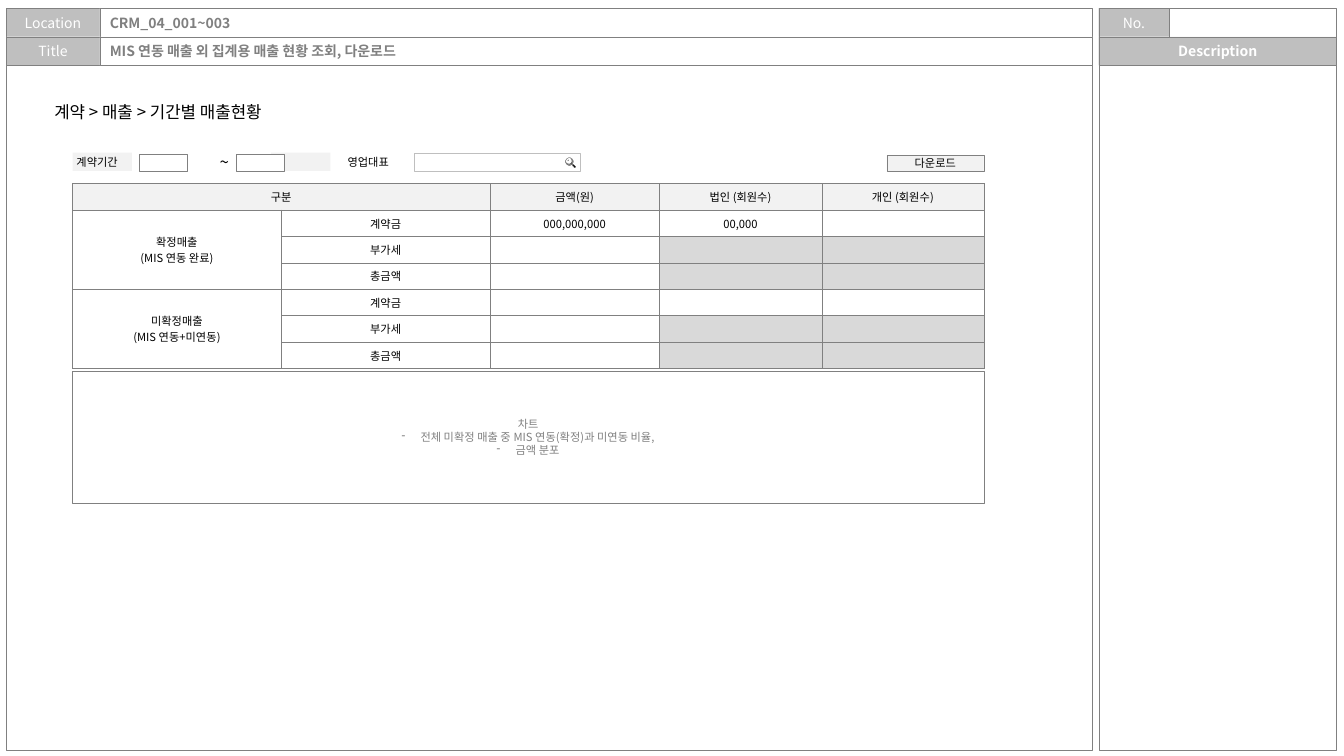
import pptx
import pptx.dml.color
import pptx.enum.shapes
import pptx.enum.text
import pptx.oxml.ns
import pptx.util
from lxml import etree

RGBColor = pptx.dml.color.RGBColor
ALIGN = pptx.enum.text.PP_ALIGN
MIDDLE = pptx.enum.text.MSO_ANCHOR.MIDDLE
RECTANGLE = pptx.enum.shapes.MSO_SHAPE.RECTANGLE
qn = pptx.oxml.ns.qn

WHITE = RGBColor(0xFF, 0xFF, 0xFF)
BLACK = RGBColor(0x00, 0x00, 0x00)
GREY = RGBColor(0x80, 0x80, 0x80)
LABEL = RGBColor(0xBF, 0xBF, 0xBF)
BLOCKED = RGBColor(0xD9, 0xD9, 0xD9)
PALE = RGBColor(0xF2, 0xF2, 0xF2)

SMALL = {"size": pptx.util.Pt(8), "bold": False, "color": BLACK}
MUTED = {**SMALL, "color": GREY}
CRUMB = {**SMALL, "size": pptx.util.Pt(12)}
HEADER = {"size": pptx.util.Pt(10), "bold": False, "color": WHITE}
HEADER_BOLD = {**HEADER, "bold": True}
VALUE = {**HEADER_BOLD, "color": GREY}


class Wireframe:
    typeface = "Noto Sans CJK KR"
    hairline = pptx.util.Pt(0.25)

    def __init__(self, deck):
        self.width = deck.slide_width
        self.height = deck.slide_height
        self.page = deck.slides.add_slide(deck.slide_layouts[6])

    def across(self, share):
        return round(self.width * share / 100)

    def down(self, share):
        return round(self.height * share / 100)

    def area(self, left, top, width, height):
        return self.across(left), self.down(top), self.across(width), self.down(height)

    def add_text(self, frame, text, style, align, bullets=False):
        for index, line in enumerate(text.split("\n")):
            para = frame.paragraphs[0] if index == 0 else frame.add_paragraph()
            para.alignment = align
            if bullets and index > 0:
                props = para._p.get_or_add_pPr()
                props.set("marL", "171450")
                props.set("indent", "-171450")
                etree.SubElement(props, qn("a:buChar"), char="-")
            if not line:
                etree.SubElement(para._p, qn("a:endParaRPr"), sz=str(int(style["size"].pt * 100)))
                continue
            span = para.add_run()
            span.text = line
            span.font.color.rgb = style["color"]
            for name in ("size", "bold"):
                setattr(span.font, name, style[name])
            span.font.name = self.typeface
            etree.SubElement(span._r.get_or_add_rPr(), qn("a:ea"), typeface=self.typeface)

    def box(self, place, fill, line=GREY, text="", style=SMALL, align=ALIGN.CENTER,
            bullets=False, side=0.1):
        box = self.page.shapes.add_shape(RECTANGLE, *self.area(*place))
        box.shadow.inherit = False
        box.fill.solid()
        box.fill.fore_color.rgb = fill
        if line is None:
            box.line.fill.background()
        else:
            box.line.color.rgb = line
            box.line.width = self.hairline
        if text:
            frame = box.text_frame
            settings = {"vertical_anchor": MIDDLE, "word_wrap": True,
                        "margin_left": pptx.util.Inches(side),
                        "margin_right": pptx.util.Inches(side)}
            for name, value in settings.items():
                setattr(frame, name, value)
            self.add_text(frame, text, style, align, bullets)

    def label(self, place, text, style=SMALL, wrap=False):
        frame = self.page.shapes.add_textbox(*self.area(*place)).text_frame
        frame.word_wrap = wrap
        frame.auto_size = pptx.enum.text.MSO_AUTO_SIZE.SHAPE_TO_FIT_TEXT
        self.add_text(frame, text, style, ALIGN.LEFT)

    def border(self, cell):
        props = cell._tc.get_or_add_tcPr()
        for side in ("lnL", "lnR", "lnT", "lnB"):
            edge = etree.SubElement(props, qn("a:" + side), w=str(int(self.hairline)))
            solid = etree.SubElement(edge, qn("a:solidFill"))
            etree.SubElement(solid, qn("a:srgbClr"), val=str(GREY))

    def table(self, left, top, columns, row_height, rows, merges, fill_at):
        place = self.area(left, top, sum(columns), row_height * len(rows))
        table = self.page.shapes.add_table(len(rows), len(columns), *place).table
        for column, width in zip(table.columns, columns):
            column.width = self.across(width)
        settings = {"margin_left": 0, "margin_right": 0, "vertical_anchor": MIDDLE,
                    "margin_top": pptx.util.Inches(0.05),
                    "margin_bottom": pptx.util.Inches(0.05)}
        for r, row in enumerate(rows):
            table.rows[r].height = self.down(row_height)
            for c, text in enumerate(row):
                cell = table.cell(r, c)
                for name, value in settings.items():
                    setattr(cell, name, value)
                self.add_text(cell.text_frame, text, SMALL, ALIGN.CENTER)
                self.border(cell)
                cell.fill.solid()
                cell.fill.fore_color.rgb = fill_at(r, c)
        for first, last in merges:
            table.cell(*first).merge(table.cell(*last))


def sales_fill(row, column):
    if row == 0:
        return PALE
    return BLOCKED if column >= 3 and row % 3 != 1 else WHITE


def main():
    deck = pptx.Presentation()
    deck.slide_width = pptx.util.Inches(13.33)
    deck.slide_height = pptx.util.Inches(7.5)
    screen = Wireframe(deck)

    band = 3.8
    first, second, body = (1.07 + band * step for step in range(3))
    screen.box((81.75, second, 17.7, band), LABEL, text="Description", style=HEADER_BOLD)
    screen.box((87, first, 12.45, band), WHITE)
    for left, width in ((0.45, 80.85), (81.75, 17.7)):
        screen.box((left, body, width, 90.53), WHITE)
    screen.box((81.75, first, 5.25, band), LABEL, text="No.", style=HEADER)
    for top, name, value in (
        (first, "Location", "CRM_04_001~003"),
        (second, "Title", "MIS 연동 매출 외 집계용 매출 현황 조회, 다운로드"),
    ):
        screen.box((0.45, top, 6.98, band), LABEL, text=name, style=HEADER)
        screen.box((7.43, top, 73.87, band), WHITE, text=value, style=VALUE, align=ALIGN.LEFT)

    for left in (5.4, 20.17):
        screen.box((left, 20.2, 4.42, 2.4), PALE, line=None)

    sales = [
        ["구분", "", "금액(원)", "법인 (회원수)", "개인 (회원수)"],
        ["확정매출\n(MIS 연동 완료)", "계약금", "000,000,000", "00,000", ""],
        ["", "부가세", "", "", ""],
        ["", "총금액", "", "", ""],
        ["미확정매출\n(MIS 연동+미연동)", "계약금", "", "", ""],
        ["", "부가세", "", "", ""],
        ["", "총금액", "", "", ""],
    ]
    merges = [((0, 0), (0, 1)), ((1, 0), (3, 0)), ((4, 0), (6, 0))]
    screen.table(5.4, 24.27, [15.53, 15.53, 12.6, 12.08, 12.08], 3.49, sales, merges, sales_fill)

    for left, text in ((4.95, "계약기간"), (25.12, "영업대표")):
        screen.label((left, 19.87, 4.87, 3.2), text)
    screen.box((30.83, 20.27, 12.38, 2.4), WHITE, line=LABEL, text="🔍",
               align=ALIGN.RIGHT, side=0.04)
    screen.box((66, 20.53, 7.2, 2.13), PALE, text="다운로드")
    screen.label((3.3, 12.8, 19.42, 4), "계약 > 매출 > 기간별 매출현황", CRUMB)
    for left in (10.35, 17.55):
        screen.box((left, 20.4, 3.6, 2.27), WHITE)
    screen.label((15.6, 19.47, 2.4, 4), "~", CRUMB, wrap=True)
    screen.box((5.4, 49.07, 67.8, 17.47), WHITE, style=MUTED, bullets=True,
               text="차트\n전체 미확정 매출 중 MIS 연동(확정)과 미연동 비율,\n금액 분포")

    deck.save("out.pptx")


if __name__ == "__main__":
    main()
